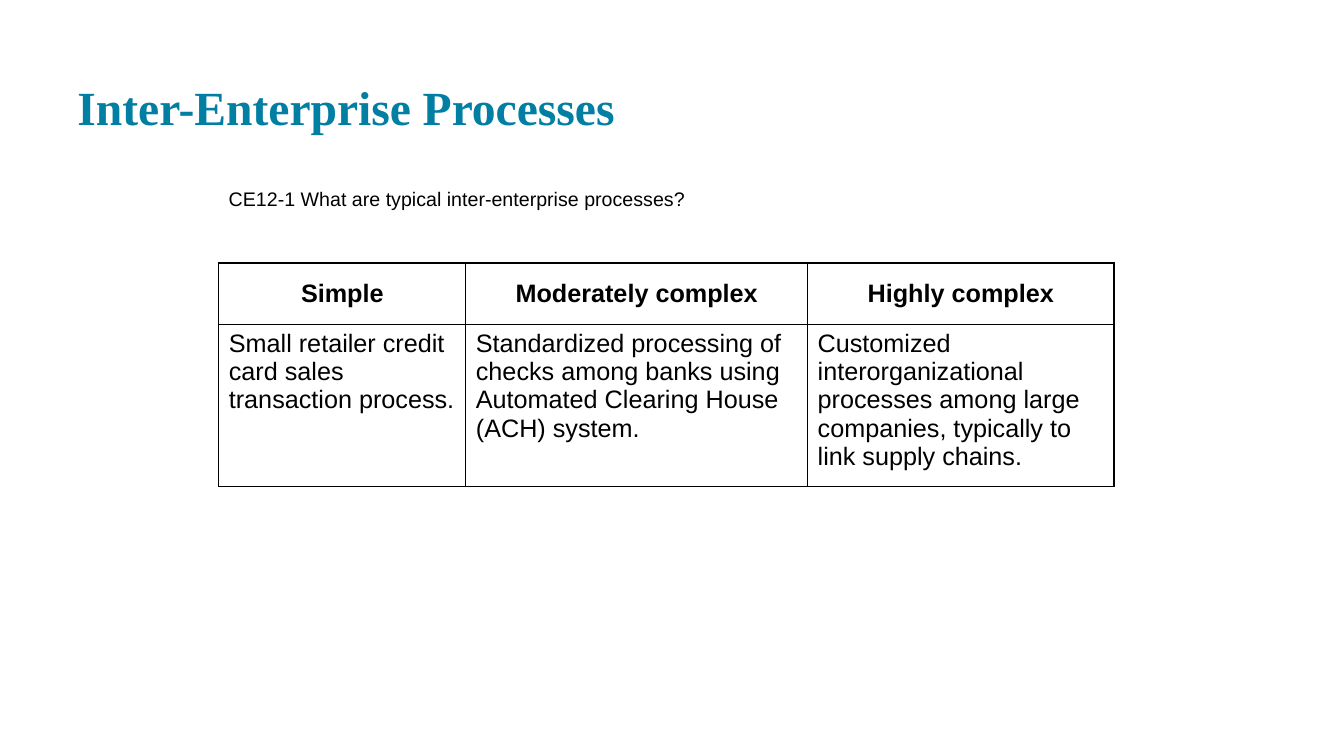
from dataclasses import dataclass

from lxml import etree
from pptx import Presentation
from pptx.dml.color import RGBColor
from pptx.enum.text import MSO_ANCHOR, PP_ALIGN
from pptx.oxml.ns import qn
from pptx.slide import Slide
from pptx.table import _Cell
from pptx.text.text import TextFrame
from pptx.util import Inches, Pt

TOP, MIDDLE, BOTTOM = MSO_ANCHOR.TOP, MSO_ANCHOR.MIDDLE, MSO_ANCHOR.BOTTOM
LEFT, CENTER = PP_ALIGN.LEFT, PP_ALIGN.CENTER


@dataclass(frozen=True)
class TextStyle:
    font: str
    size: int
    color: str
    bold: bool = False
    align: PP_ALIGN = LEFT
    anchor: MSO_ANCHOR = TOP


@dataclass(frozen=True)
class Theme:
    title: TextStyle = TextStyle("Times New Roman", 34, "007FA3", True, anchor=BOTTOM)
    question: TextStyle = TextStyle("Arial", 14, "000000")
    heading: TextStyle = TextStyle("Arial", 18, "000000", True, CENTER, MIDDLE)
    example: TextStyle = TextStyle("Arial", 18, "000000")
    background: str = "FFFFFF"
    border: str = "000000"
    border_width: int = 1


@dataclass(frozen=True)
class Caption:
    text: str
    left: float
    top: float
    width: float
    height: float
    style: TextStyle


@dataclass(frozen=True)
class Complexity:
    heading: str
    example: str
    width: float


THEME = Theme()
CAPTIONS = [
    Caption("Inter-Enterprise Processes", 0.67, 0.24, 12, 1.2, THEME.title),
    Caption("CE12-1 What are typical inter-enterprise processes?",
            2.17, 1.75, 9, 0.55, THEME.question),
]
COMPLEXITIES = [
    Complexity("Simple", "Small retailer credit card sales transaction process.", 2.45),
    Complexity("Moderately complex",
               "Standardized processing of checks among banks using "
               "Automated Clearing House (ACH) system.", 3.39),
    Complexity("Highly complex",
               "Customized interorganizational processes among large companies, "
               "typically to link supply chains.", 3.04),
]
TABLE_LEFT, TABLE_TOP = 2.17, 2.61
ROW_HEIGHTS = (0.61, 1.61)


def write_text(frame: TextFrame, text: str, style: TextStyle) -> None:
    frame.text = text
    frame.word_wrap = True
    paragraph = frame.paragraphs[0]
    paragraph.alignment = style.align
    font = paragraph.runs[0].font
    font.name = style.font
    font.size = Pt(style.size)
    font.bold = style.bold
    font.color.rgb = RGBColor.from_string(style.color)


def add_caption(slide: Slide, caption: Caption) -> None:
    box = slide.shapes.add_textbox(Inches(caption.left), Inches(caption.top),
                                   Inches(caption.width), Inches(caption.height))
    frame = box.text_frame
    write_text(frame, caption.text, caption.style)
    frame.vertical_anchor = caption.style.anchor
    frame.margin_left = frame.margin_right = Inches(0.1)
    frame.margin_top = frame.margin_bottom = Inches(0.1)


def add_borders(cell: _Cell) -> None:
    properties = cell._tc.get_or_add_tcPr()
    for position, side in enumerate(("a:lnL", "a:lnR", "a:lnT", "a:lnB")):
        line = etree.Element(qn(side), w=str(Pt(THEME.border_width)))
        fill = etree.SubElement(line, qn("a:solidFill"))
        etree.SubElement(fill, qn("a:srgbClr"), val=THEME.border)
        properties.insert(position, line)


def fill_cell(cell: _Cell, text: str, style: TextStyle) -> None:
    write_text(cell.text_frame, text, style)
    cell.vertical_anchor = style.anchor
    cell.margin_left = cell.margin_right = Inches(0.1)
    cell.margin_top = cell.margin_bottom = Inches(0.05)
    cell.fill.solid()
    cell.fill.fore_color.rgb = RGBColor.from_string(THEME.background)
    add_borders(cell)


def add_complexity_table(slide: Slide) -> None:
    total_width = sum(complexity.width for complexity in COMPLEXITIES)
    table = slide.shapes.add_table(
        len(ROW_HEIGHTS), len(COMPLEXITIES), Inches(TABLE_LEFT), Inches(TABLE_TOP),
        Inches(total_width), Inches(sum(ROW_HEIGHTS))).table
    table.horz_banding = False
    for row, height in zip(table.rows, ROW_HEIGHTS):
        row.height = Inches(height)
    for column, complexity in enumerate(COMPLEXITIES):
        table.columns[column].width = Inches(complexity.width)
        fill_cell(table.cell(0, column), complexity.heading, THEME.heading)
        fill_cell(table.cell(1, column), complexity.example, THEME.example)


def main() -> None:
    presentation = Presentation()
    presentation.slide_width = Inches(13.33)
    presentation.slide_height = Inches(7.5)
    slide = presentation.slides.add_slide(presentation.slide_layouts[6])
    for caption in CAPTIONS:
        add_caption(slide, caption)
    add_complexity_table(slide)
    presentation.save("out.pptx")


if __name__ == "__main__":
    main()
